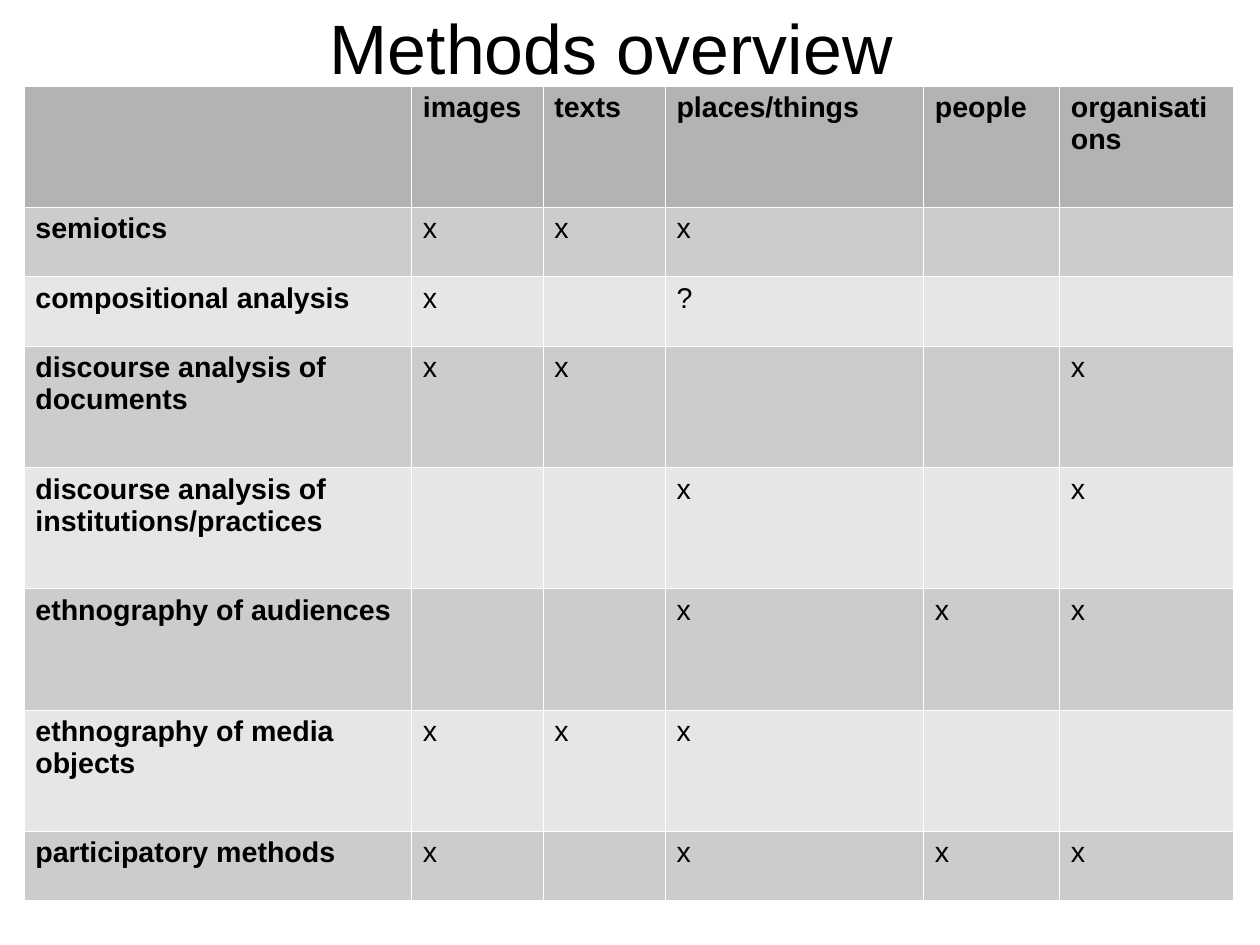
from lxml.etree import SubElement
from pptx import Presentation
from pptx.dml.color import RGBColor
from pptx.enum.text import MSO_ANCHOR, PP_ALIGN
from pptx.oxml.ns import qn
from pptx.util import Inches, Pt

CENTIMETRES_PER_INCH = 2.54
HEADINGS = ["", "images", "texts", "places/things", "people", "organisations"]
METHODS = [
    ["semiotics", "x", "x", "x", "", ""],
    ["compositional analysis", "x", "", "?", "", ""],
    ["discourse analysis of documents", "x", "x", "", "", "x"],
    ["discourse analysis of institutions/practices", "", "", "x", "", "x"],
    ["ethnography of audiences", "", "", "x", "x", "x"],
    ["ethnography of media objects", "x", "x", "x", "", ""],
    ["participatory methods", "x", "", "x", "x", "x"],
]
COLUMN_WIDTHS = [3.39, 1.15, 1.07, 2.26, 1.19, 1.52]
TALL, SHORT = 1.06, 0.61
ROW_HEIGHTS = [TALL, SHORT, SHORT, TALL, TALL, TALL, TALL, SHORT]


def color(value):
    """Turn a hex string into a colour."""
    return RGBColor.from_string(value)


class SlideBuilder:
    """Hold the style and the current slide."""

    font_name = "Arial"
    text_color = "000000"
    border_color = "FFFFFF"
    border_width = Pt(0.06)
    header_fill = "B3B3B3"
    band_fills = ["CCCCCC", "E6E6E6"]

    def __init__(self, presentation):
        """Add a title-only slide."""
        self.slide = presentation.slides.add_slide(presentation.slide_layouts[5])

    def style(self, paragraph, size, bold=False):
        """Set the font of a paragraph."""
        font = paragraph.font
        font.name = self.font_name
        font.size = Pt(size)
        font.bold = bold
        font.color.rgb = color(self.text_color)

    def title(self, text, left, top, width, height):
        """Place and format the title placeholder."""
        shape = self.slide.shapes.title
        shape.left, shape.top = Inches(left), Inches(top)
        shape.width, shape.height = Inches(width), Inches(height)
        frame = shape.text_frame
        frame.text = text
        frame.word_wrap = True
        frame.vertical_anchor = MSO_ANCHOR.MIDDLE
        frame.margin_left = frame.margin_right = 0
        frame.margin_top = frame.margin_bottom = 0
        paragraph = frame.paragraphs[0]
        paragraph.alignment = PP_ALIGN.CENTER
        self.style(paragraph, 44)

    def borders(self, cell):
        """Draw a thin line on every side of a cell."""
        properties = cell._tc.get_or_add_tcPr()
        for side in ("a:lnL", "a:lnR", "a:lnT", "a:lnB"):
            line = SubElement(properties, qn(side), w=str(self.border_width))
            fill = SubElement(line, qn("a:solidFill"))
            SubElement(fill, qn("a:srgbClr"), val=self.border_color)

    def cell(self, cell, text, fill, bold):
        """Fill one table cell."""
        self.borders(cell)
        cell.fill.solid()
        cell.fill.fore_color.rgb = color(fill)
        cell.text = text
        self.style(cell.text_frame.paragraphs[0], 18, bold)

    def table(self, rows, left, top, widths, heights):
        """Add a table with a header row and banded body rows."""
        table = self.slide.shapes.add_table(
            len(rows), len(widths), Inches(left), Inches(top),
            Inches(sum(widths)), Inches(sum(heights))).table
        table.horz_banding = False
        for column, width in zip(table.columns, widths):
            column.width = Inches(width)
        for index, (row, height) in enumerate(zip(table.rows, heights)):
            row.height = Inches(height)
            fill = self.band_fills[(index - 1) % 2] if index else self.header_fill
            for position, (cell, text) in enumerate(zip(row.cells, rows[index])):
                self.cell(cell, text, fill, bold=index == 0 or position == 0)


def main():
    """Build and save the slide."""
    presentation = Presentation()
    presentation.slide_width = Inches(28 / CENTIMETRES_PER_INCH)
    presentation.slide_height = Inches(21 / CENTIMETRES_PER_INCH)
    builder = SlideBuilder(presentation)
    builder.title("Methods overview", 0.39, -0.28, 9.92, 1.38)
    builder.table([HEADINGS] + METHODS, 0.21, 0.75, COLUMN_WIDTHS, ROW_HEIGHTS)
    presentation.save("out.pptx")


if __name__ == "__main__":
    main()
